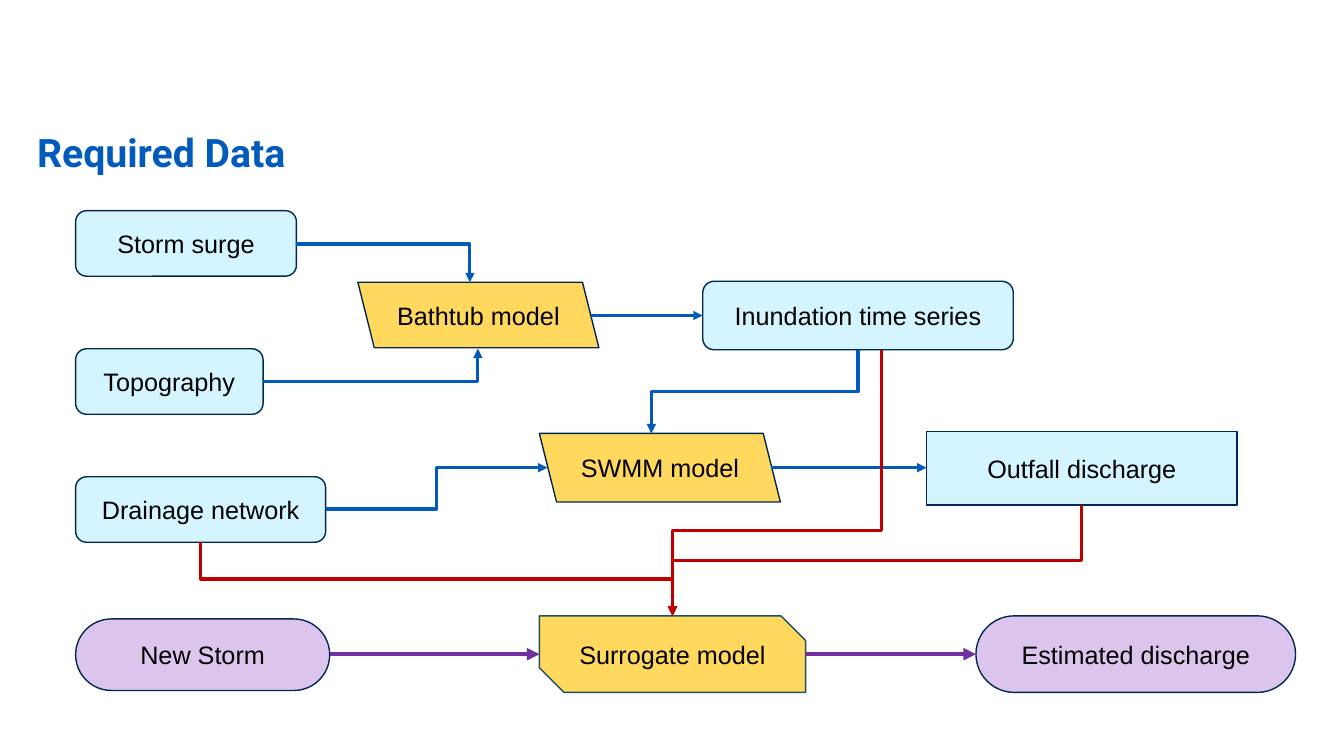
from dataclasses import dataclass
from typing import Optional

from lxml import etree
from pptx import Presentation
from pptx import util as u
from pptx.dml.color import RGBColor
from pptx.enum import shapes, text
from pptx.oxml.ns import qn

PX = 9144  # EMU per px, 100 px to the inch
Shape = shapes.MSO_SHAPE


@dataclass(frozen=True)
class Theme:
    title: str = "005BBB"
    ink: str = "000000"
    outline: str = "002852"
    surrogate_outline: str = "1C5065"
    data: str = "D4F5FF"
    model: str = "FFD85D"
    event: str = "DCC5ED"
    flow: str = "005BBB"
    training: str = "C00000"
    prediction: str = "7030A0"
    title_font: str = "Roboto"
    body_font: str = "Arial"
    title_pt: float = 28
    body_pt: float = 18
    outline_pt: float = 1
    flow_pt: float = 2.25
    prediction_pt: float = 3


THEME = Theme()


@dataclass(frozen=True)
class Node:
    label: str
    left: int
    top: int
    width: int
    height: int
    kind: Shape
    fill: str
    outline: str = THEME.outline
    adjustments: tuple[float, ...] = ()


@dataclass(frozen=True)
class Arrow:
    """bend is the share of the way at which a three-part elbow turns."""
    start: tuple[int, int]
    end: tuple[int, int]
    color: str = THEME.flow
    weight: float = THEME.flow_pt
    route: str = "bentConnector3"
    vertical: bool = False
    bend: float = 0.5


ROUND, SLANT = Shape.ROUNDED_RECTANGLE, Shape.PARALLELOGRAM
PILL = (0.5,)
NODES = [
    Node("Surrogate model", 535, 611, 264, 76, Shape.SNIP_2_DIAG_RECTANGLE,
         THEME.model, THEME.surrogate_outline, (0, 0.322)),
    Node("Storm surge", 75, 209, 219, 65, ROUND, THEME.data),
    Node("Topography", 75, 346, 186, 65, ROUND, THEME.data),
    Node("Bathtub model", 355, 280, 239, 65, SLANT, THEME.model),
    Node("Drainage network", 75, 473, 248, 65, ROUND, THEME.data),
    Node("SWMM model", 535, 430, 239, 68, SLANT, THEME.model),
    Node("Inundation time series", 697, 279, 308, 68, ROUND, THEME.data),
    Node("Outfall discharge", 919, 428, 308, 73, Shape.RECTANGLE, THEME.data),
    Node("New Storm", 75, 614, 252, 71, ROUND, THEME.event, adjustments=PILL),
    Node("Estimated discharge", 968, 611, 317, 76, ROUND, THEME.event, adjustments=PILL),
]

SURROGATE_TOP = (667, 611)
TRAINING = dict(end=SURROGATE_TOP, color=THEME.training, vertical=True)
PREDICTION = dict(color=THEME.prediction, weight=THEME.prediction_pt, route="line")
ARROWS = [
    Arrow((294, 242), (466, 280), route="bentConnector2"),
    Arrow((261, 379), (474, 346), route="bentConnector2"),
    Arrow((586, 313), (697, 313), route="line"),
    Arrow((851, 347), (646, 430), vertical=True),
    Arrow((765, 464), (919, 464), route="line"),
    Arrow((323, 505), (543, 464)),
    Arrow((874, 347), bend=0.68, **TRAINING),
    Arrow((1073, 501), **TRAINING),
    Arrow((199, 538), **TRAINING),
    Arrow((327, 649), (535, 649), **PREDICTION),
    Arrow((798, 649), (968, 649), **PREDICTION),
]


def rgb(color: str) -> RGBColor:
    return RGBColor.from_string(color)


def write(tf, label: str, font: str, size: float, color: str, bold: Optional[bool] = None):
    tf.word_wrap = True
    p = tf.paragraphs[0]
    p.text = label
    p.font.name, p.font.size, p.font.bold = font, u.Pt(size), bold
    p.font.color.rgb = rgb(color)
    return p


def add_title(s, label: str) -> None:
    tf = s.shapes.add_textbox(27 * PX, 127 * PX, 760 * PX, 53 * PX).text_frame
    tf.vertical_anchor = text.MSO_ANCHOR.BOTTOM
    p = write(tf, label, THEME.title_font, THEME.title_pt, THEME.title, True)
    p.line_spacing = 0.9


def add_node(s, node: Node) -> None:
    sp = s.shapes.add_shape(node.kind, node.left * PX, node.top * PX,
                            node.width * PX, node.height * PX)
    sp.shadow.inherit = False
    for i, value in enumerate(node.adjustments):
        sp.adjustments[i] = value
    if node.kind == SLANT:
        sp._element.spPr.find(qn("a:xfrm")).set("flipH", "1")
    sp.fill.solid()
    sp.fill.fore_color.rgb = rgb(node.fill)
    sp.line.color.rgb = rgb(node.outline)
    sp.line.width = u.Pt(THEME.outline_pt)
    sp.text_frame.vertical_anchor = text.MSO_ANCHOR.MIDDLE
    p = write(sp.text_frame, node.label, THEME.body_font, THEME.body_pt, THEME.ink)
    p.alignment = text.PP_ALIGN.CENTER


def turned_ends(arrow: Arrow) -> tuple[int, int, int, int]:
    """Ends, in EMU, of a downward elbow before its quarter turn."""
    (x1, y1), (x2, y2) = arrow.start, arrow.end
    cx, cy = (x1 + x2) * PX // 2, (y1 + y2) * PX // 2
    half_w, half_h = (y2 - y1) * PX // 2, abs(x2 - x1) * PX // 2
    if x2 > x1:
        half_w = -half_w
    return cx - half_w, cy - half_h, cx + half_w, cy + half_h


def add_arrow(s, arrow: Arrow) -> None:
    ends = (turned_ends(arrow) if arrow.vertical
            else tuple(v * PX for v in arrow.start + arrow.end))
    c = s.shapes.add_connector(shapes.MSO_CONNECTOR.ELBOW, *ends)
    c.line.color.rgb = rgb(arrow.color)
    c.line.width = u.Pt(arrow.weight)
    spPr = c._element.spPr
    if arrow.vertical:
        degrees = 270 if arrow.end[0] > arrow.start[0] else 90
        spPr.find(qn("a:xfrm")).set("rot", str(degrees * 60000))
    geometry = spPr.find(qn("a:prstGeom"))
    geometry.set("prst", arrow.route)
    if arrow.route == "bentConnector3":
        etree.SubElement(geometry.find(qn("a:avLst")), qn("a:gd"),
                         name="adj1", fmla=f"val {round(arrow.bend * 100000)}")
    etree.SubElement(spPr.find(qn("a:ln")), qn("a:tailEnd"), type="triangle")
    etree.SubElement(spPr, qn("a:effectLst"))


def main() -> None:
    prs = Presentation()
    prs.slide_width, prs.slide_height = 1333 * PX, 750 * PX
    s = prs.slides.add_slide(prs.slide_layouts[6])
    add_title(s, "Required Data")
    for node in NODES:
        add_node(s, node)
    for arrow in ARROWS:
        add_arrow(s, arrow)
    prs.save("out.pptx")


if __name__ == "__main__":
    main()
